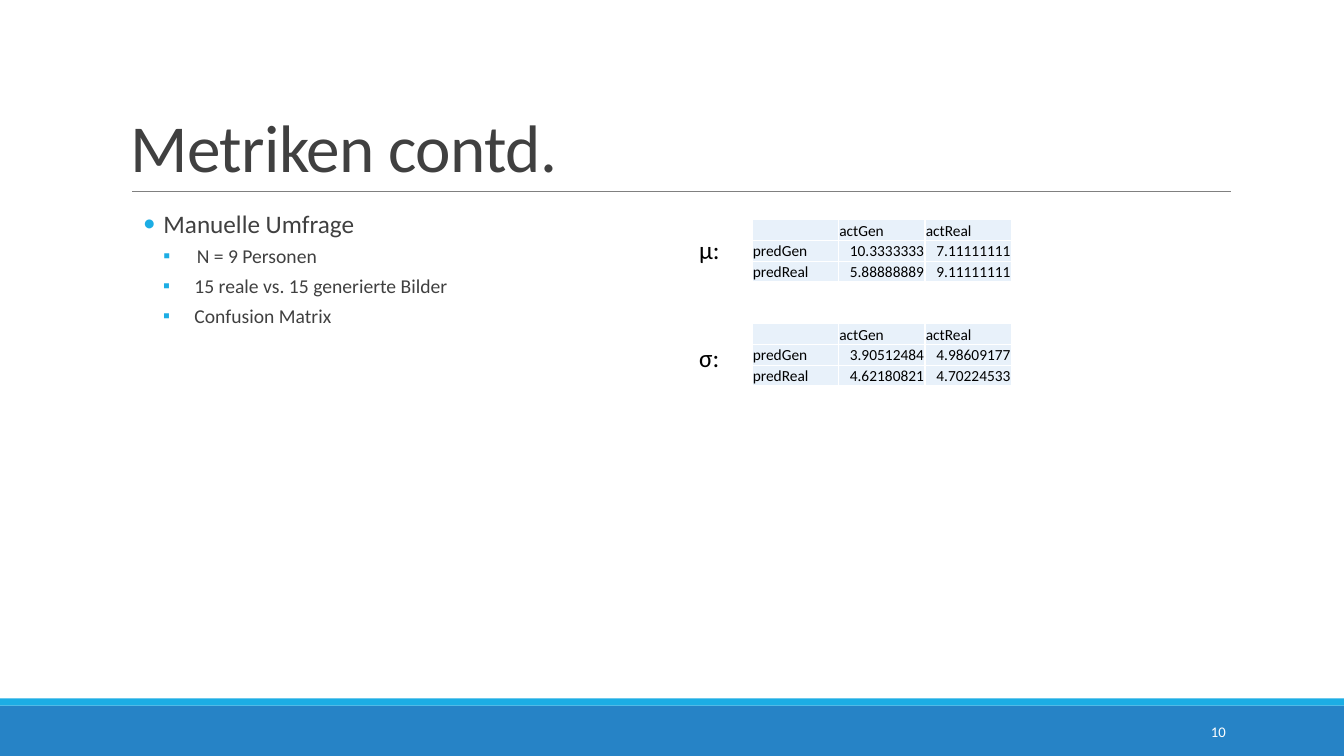
from lxml import etree
from pptx import Presentation
from pptx.dml.color import RGBColor
from pptx.enum import shapes, text
from pptx.oxml import ns
from pptx.util import Cm, Pt

COLORS = {
    "bar": "2683C6",
    "accent": "1CADE4",
    "rule": "808080",
    "heading": "404040",
    "black": "000000",
    "white": "FFFFFF",
    "cell": "E8F1FA",
}
FONT = "Calibri"


def color(name):
    return RGBColor.from_string(COLORS[name])


def add_text(box, content, size, color_name, anchor=text.MSO_ANCHOR.TOP):
    """Fill a text box with one paragraph and return that paragraph."""
    frame = box.text_frame
    frame.word_wrap = True
    frame.vertical_anchor = anchor
    paragraph = frame.paragraphs[0]
    paragraph.text = content
    paragraph.font.name = FONT
    paragraph.font.size = Pt(size)
    paragraph.font.color.rgb = color(color_name)
    return paragraph


presentation = Presentation()
presentation.slide_width = Cm(33.87)
presentation.slide_height = Cm(19.05)
slide = presentation.slides.add_slide(presentation.slide_layouts[6])

# Footer bars and title rule
for top, height, fill in [(17.78, 1.27, "bar"), (17.6, 0.18, "accent")]:
    bar = slide.shapes.add_shape(
        shapes.MSO_SHAPE.RECTANGLE, 0, Cm(top), presentation.slide_width, Cm(height))
    bar.shadow.inherit = False
    bar.fill.solid()
    bar.fill.fore_color.rgb = color(fill)
    bar.line.fill.background()

rule = slide.shapes.add_connector(
    shapes.MSO_CONNECTOR.STRAIGHT, Cm(3.33), Cm(4.83), Cm(31.01), Cm(4.83))
rule.line.color.rgb = color("rule")
rule.line.width = Pt(0.5)
etree.SubElement(rule._element.spPr, ns.qn("a:effectLst"))

# Title
title_box = slide.shapes.add_textbox(Cm(3.05), Cm(0.79), Cm(27.94), Cm(4.04))
title = add_text(title_box, "Metriken contd.", 48, "heading", text.MSO_ANCHOR.BOTTOM)
title.line_spacing = 0.85
title.runs[0].font._element.set("spc", "-50")

# Bullet list: text, size, bullet, left margin and hanging indent in cm
bullets = [
    ("Manuelle Umfrage", 18, "•", 1.07, 0.51),
    ("N = 9 Personen", 14, "▪", 1.91, 0.84),
    ("15 reale vs. 15 generierte Bilder", 14, "▪", 1.85, 0.79),
    ("Confusion Matrix", 14, "▪", 1.85, 0.79),
]
body = slide.shapes.add_textbox(Cm(3.05), Cm(5.2), Cm(27.94), Cm(11.1)).text_frame
body.word_wrap = True
body.margin_left = body.margin_right = 0
for index, (content, size, bullet, margin, hanging) in enumerate(bullets):
    paragraph = body.add_paragraph() if index else body.paragraphs[0]
    paragraph.text = content
    paragraph.line_spacing = 0.9
    paragraph.space_before = Pt(2 if index else 0)
    paragraph.space_after = Pt(4)
    properties = paragraph._p.get_or_add_pPr()
    properties.set("marL", str(Cm(margin)))
    properties.set("indent", str(-Cm(hanging)))
    bullet_color = etree.SubElement(properties, ns.qn("a:buClr"))
    etree.SubElement(bullet_color, ns.qn("a:srgbClr"), val=COLORS["accent"])
    etree.SubElement(properties, ns.qn("a:buFont"), typeface=FONT)
    etree.SubElement(properties, ns.qn("a:buChar"), char=bullet)
    paragraph.font.name = FONT
    paragraph.font.size = Pt(size)
    paragraph.font.color.rgb = color("heading")

# Confusion matrices: label, label top, table top, predGen and predReal values
matrices = [
    ("μ:", 5.79, 5.54, ("10.3333333", "7.11111111"), ("5.88888889", "9.11111111")),
    ("σ:", 8.51, 8.16, ("3.90512484", "4.98609177"), ("4.62180821", "4.70224533")),
]
column_width, row_height = Cm(2.18), Cm(0.52)
for label, label_top, table_top, generated, real in matrices:
    label_box = slide.shapes.add_textbox(Cm(17.37), Cm(label_top), Cm(1.17), Cm(1.02))
    add_text(label_box, label, 18, "black")

    rows = [("", "actGen", "actReal"), ("predGen", *generated), ("predReal", *real)]
    table = slide.shapes.add_table(
        3, 3, Cm(18.95), Cm(table_top), column_width * 3, row_height * 3).table
    for column in table.columns:
        column.width = column_width
    for row_index, values in enumerate(rows):
        table.rows[row_index].height = row_height
        for column_index, value in enumerate(values):
            cell = table.cell(row_index, column_index)
            cell.margin_left = cell.margin_right = cell.margin_top = Cm(0.02)
            cell.margin_bottom = 0
            cell.vertical_anchor = text.MSO_ANCHOR.BOTTOM
            paragraph = cell.text_frame.paragraphs[0]
            if value:
                paragraph.text = value
            else:
                etree.SubElement(paragraph._p, ns.qn("a:endParaRPr"), sz="1100")
            if row_index and column_index:
                paragraph.alignment = text.PP_ALIGN.RIGHT
            paragraph.font.name = FONT
            paragraph.font.size = Pt(11)
            paragraph.font.bold = False
            paragraph.font.color.rgb = color("black")
            cell_properties = cell._tc.get_or_add_tcPr()
            for side in ("lnL", "lnR", "lnT", "lnB"):
                border = etree.SubElement(
                    cell_properties, ns.qn(f"a:{side}"), w=str(Pt(1)))
                border_fill = etree.SubElement(border, ns.qn("a:solidFill"))
                etree.SubElement(border_fill, ns.qn("a:srgbClr"), val=COLORS["white"])
            cell.fill.solid()
            cell.fill.fore_color.rgb = color("cell")

# Slide number
number_box = slide.shapes.add_textbox(Cm(27.51), Cm(17.93), Cm(3.63), Cm(1.02))
number = add_text(number_box, "10", 10.5, "white", text.MSO_ANCHOR.MIDDLE)
number.alignment = text.PP_ALIGN.RIGHT

presentation.save("out.pptx")
